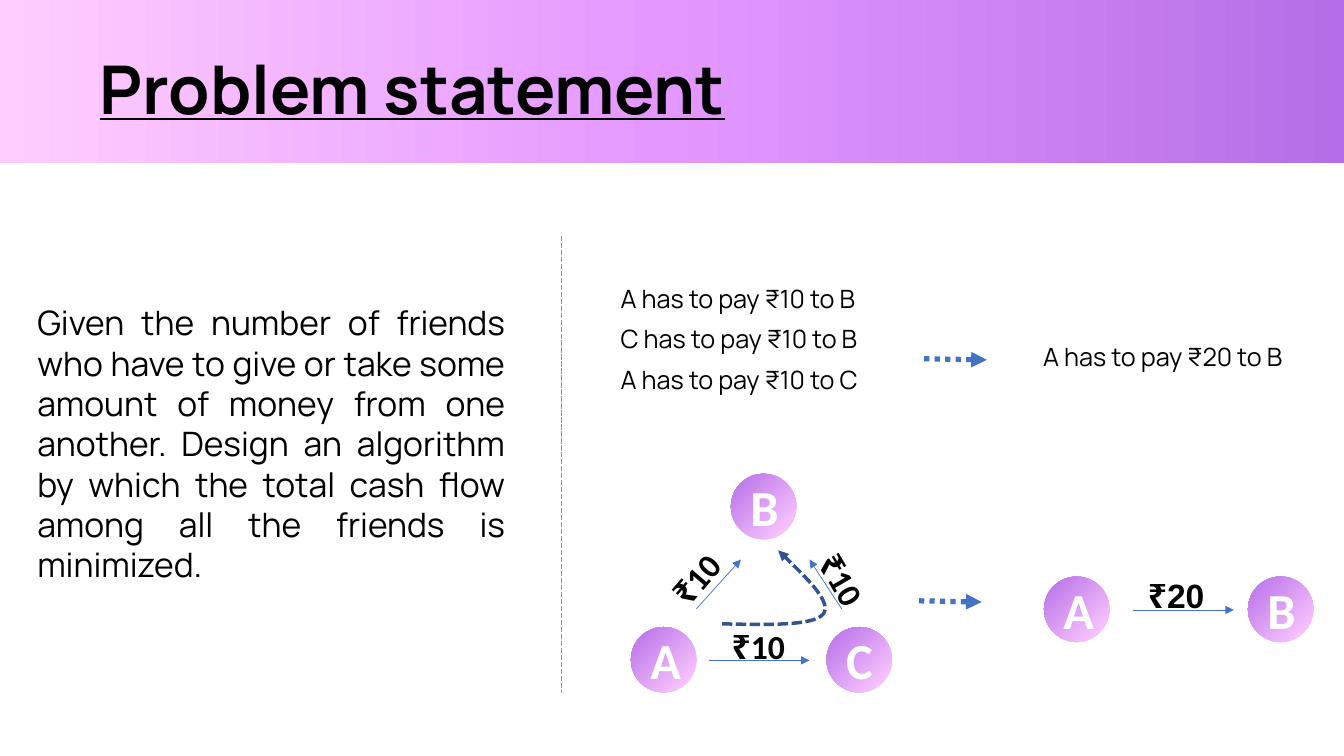
from copy import deepcopy
from dataclasses import dataclass

from pptx import Presentation
from pptx.dml.color import RGBColor as RGB
from pptx.enum.dml import MSO_LINE as DASH
from pptx.enum.shapes import MSO_CONNECTOR as CONN, MSO_SHAPE as SHAPE
from pptx.enum.text import MSO_ANCHOR as ANCHOR, MSO_AUTO_SIZE as FIT, PP_ALIGN as ALIGN
from pptx.oxml.ns import qn
from pptx.oxml.xmlchemy import OxmlElement as Element
from pptx.util import Cm, Pt


@dataclass(frozen=True)
class Theme:
    font: str = "Manrope"
    node_font: str = "Calibri"
    rupee_font: str = "Arial"
    title: int = 48
    node: int = 36
    body: int = 24
    small: int = 18
    ink: str = "000000"
    white: str = "FFFFFF"
    blue: str = "4472C4"
    navy: str = "325491"
    violet: str = "B76FE8"
    band: tuple = ((0, "B66EE8"), (0.51, "E498FF"), (1, "FFCEFF"))
    ball: tuple = ((0.05, "FFCDFF"), (1, "B66EE8"))


def assign(obj, **values):
    for name, value in values.items():
        setattr(obj, name, value)


class Painter:
    def __init__(self, slide, theme):
        self.slide, self.theme = slide, theme

    def fill_text(self, sp, runs, size, color=None, align=ALIGN.LEFT,
                  anchor=ANCHOR.TOP, fit=FIT.SHAPE_TO_FIT_TEXT, **font):
        """Fill a shape with one paragraph of (text, font name) runs."""
        tf = sp.text_frame
        assign(tf, word_wrap=True, auto_size=fit, vertical_anchor=anchor)
        p = tf.paragraphs[0]
        p.alignment = align
        for text, name in runs:
            r = p.add_run()
            r.text = text
            assign(r.font, name=name, size=Pt(size), **font)
            r.font.color.rgb = RGB.from_string(color or self.theme.ink)

    def title(self, text, *box):
        sp = self.slide.shapes.title
        assign(sp, **dict(zip(("left", "top", "width", "height"), map(Cm, box))))
        self.fill_text(sp, [(text, self.theme.font)], self.theme.title,
                       bold=True, underline=True)
        return sp

    def text(self, runs, size, *box, rotation=0, **style):
        sp = self.slide.shapes.add_textbox(*map(Cm, box))
        sp.rotation = rotation
        self.fill_text(sp, runs, size, **style)

    def shape(self, kind, stops, angle, *box):
        """Add an outline-free shape with a linear gradient."""
        sp = self.slide.shapes.add_shape(kind, *map(Cm, box))
        sp.shadow.inherit = False
        sp.line.fill.background()
        sp.fill.gradient()
        sp.fill.gradient_angle = angle
        gs_list = sp._element.spPr.find(qn("a:gradFill")).find(qn("a:gsLst"))
        while len(gs_list) < len(stops):
            gs_list.append(deepcopy(gs_list[0]))
        for stop, (position, color) in zip(sp.fill.gradient_stops, stops):
            stop.position = position
            stop.color.rgb = RGB.from_string(color)
        return sp

    def node(self, letter, x, y, size=1.65):
        sp = self.shape(SHAPE.OVAL, self.theme.ball, 135, x, y, size, size)
        self.fill_text(sp, [(letter, self.theme.node_font)], self.theme.node,
                       self.theme.white, ALIGN.CENTER, ANCHOR.MIDDLE, FIT.NONE, bold=True)

    def stroke(self, sp, color, width, dash=None, arrow=True):
        sp.line.color.rgb = RGB.from_string(color)
        assign(sp.line, width=Pt(width), dash_style=dash)
        if arrow:
            tail = Element("a:tailEnd")
            tail.set("type", "triangle")
            sp.line._get_or_add_ln().append(tail)

    def line(self, points, *style, **options):
        sp = self.slide.shapes.add_connector(CONN.STRAIGHT, *map(Cm, points))
        self.stroke(sp, *style, **options)
        sp._element.spPr.append(Element("a:effectLst"))

    def curve(self, points, *style, steps=16):
        """Trace joined cubic curves given as start, (control, control, end)..."""
        trace = [points[0]]
        for i in range(0, len(points) - 1, 3):
            for step in range(1, steps + 1):
                t = step / steps
                weights = ((1 - t) ** 3, 3 * t * (1 - t) ** 2, 3 * t * t * (1 - t), t ** 3)
                trace.append([sum(w * pt[axis] for w, pt in zip(weights, points[i:i + 4]))
                              for axis in (0, 1)])
        trace = [(Cm(x), Cm(y)) for x, y in trace]
        builder = self.slide.shapes.build_freeform(*trace[0])
        builder.add_line_segments(trace[1:], close=False)
        sp = builder.convert_to_shape()
        sp.shadow.inherit = False
        sp.fill.background()
        self.stroke(sp, *style)


prs = Presentation()
assign(prs, slide_width=Cm(33.87), slide_height=Cm(19.05))
theme = Theme()
s = Painter(prs.slides.add_slide(prs.slide_layouts[5]), theme)

# Header band, placed behind the title
title = s.title("Problem statement", 2.26, 1.07, 19.94, 2.31)
band = s.shape(SHAPE.RECTANGLE, theme.band, 180, 0, 0, 33.87, 4.11)
title._element.addprevious(band._element)

# Statement and divider
statement = ("Given the number of friends who have to give or take some amount of money "
             "from one another. Design an algorithm by which the total cash flow among "
             "all the friends is minimized.")
s.text([(statement, theme.font)], theme.body, 0.69, 7.49, 12.29, 7.44, align=ALIGN.JUSTIFY)
s.line((14.15, 5.94, 14.15, 17.45), theme.violet, 1.25, DASH.SQUARE_DOT, arrow=False)

# Payments before and after
for row, (payer, amount, payee) in enumerate([("A", 10, "B"), ("C", 10, "B"), ("A", 10, "C")]):
    s.text([(f"{payer} has to pay ₹{amount} to {payee}", theme.font)], theme.small,
           15.39, 7.01 + row * 1.02, 8.74, 1.02)
s.text([("A has to pay ₹20 to B", theme.font)], theme.small, 26.04, 8.48, 7.39, 1.8)

# Friends
for letter, x, y in [("B", 18.42, 11.94), ("A", 15.9, 15.8), ("C", 20.83, 15.8),
                     ("B", 31.45, 14.53), ("A", 26.31, 14.53)]:
    s.node(letter, x, y)

# Payment arrows
for points in [(17.55, 15.34, 18.67, 14.1), (21.21, 15.34, 20.4, 14.1),
               (17.86, 16.64, 20.4, 16.64), (28.55, 15.37, 31.09, 15.37)]:
    s.line(points, theme.blue, 0.5)

# Amounts on the arrows
for amount, font, x, y, rotation in [("10", theme.node_font, 20.19, 14.15, 59.7),
                                     ("10", theme.node_font, 16.54, 13.79, 310.7),
                                     ("10", theme.node_font, 18.19, 15.65, 0),
                                     ("20", theme.rupee_font, 28.68, 14.35, 0)]:
    s.text([("₹", theme.rupee_font), (amount, font)], theme.body,
           x, y, 2.26, 1.27, rotation=rotation, bold=True)

# Shortcut from A to B past C
s.curve([(18.19, 15.72), (19.35, 15.75), (20.52, 15.77), (20.75, 15.47),
         (20.98, 15.16), (20.29, 14.53), (19.61, 13.87)], theme.navy, 2.5, DASH.SQUARE_DOT)

# Dotted arrows to the result
for x, y in [(23.16, 15.14), (23.29, 9.04)]:
    s.line((x, y, x + 1.58, y + 0.03), theme.blue, 3.75, DASH.ROUND_DOT)

prs.save("out.pptx")
